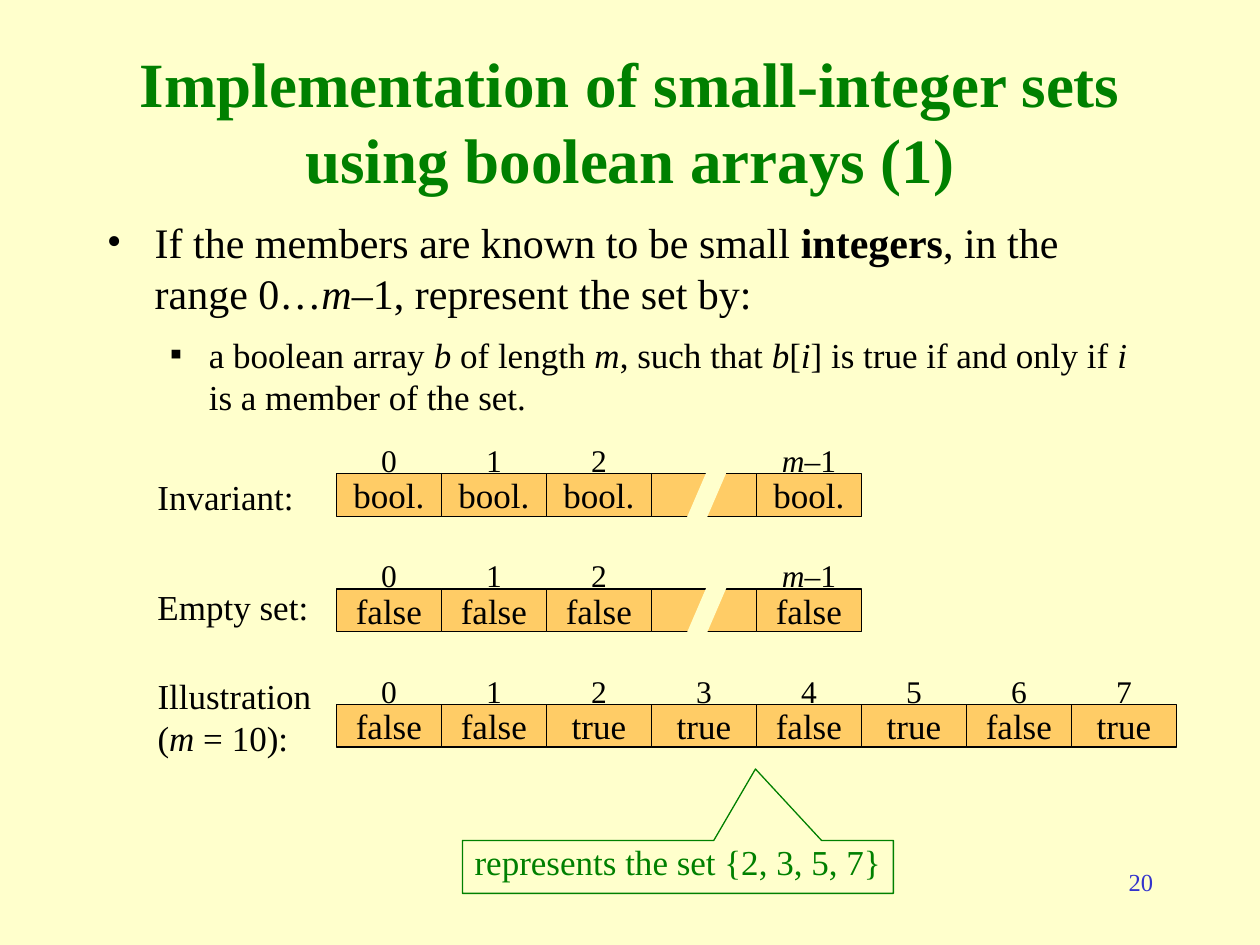
from lxml.etree import SubElement
from pptx import Presentation
from pptx.dml.color import RGBColor
from pptx.enum.shapes import MSO_SHAPE
from pptx.enum.text import MSO_ANCHOR, MSO_AUTO_SIZE, PP_ALIGN
from pptx.oxml.ns import qn
from pptx.util import Inches, Pt

FONT = "Times New Roman"
PAPER, BLACK, GREEN, BLUE, ORANGE = "FFFFCC", "000000", "008000", "3333CC", "FFCC66"
CELL_WIDTH, CELL_HEIGHT = 5 / 6, 0.34
ARRAY_LEFT, LABEL_LEFT = 2.67, 1.25
FIRST_ROW_TOP, ROW_STEP = 3.76, 0.915
LAST_INDEX = [("m", "i"), ("–1", "")]


def color(hex_text):
    """Turn a hex string into a colour."""
    return RGBColor.from_string(hex_text)


def inches(box):
    """Turn a box of left, top, width and height into lengths."""
    return [Inches(value) for value in box]


def set_frame(frame, margins=(0, 0, 0, 0), anchor=MSO_ANCHOR.TOP):
    """Set the margins, anchor and wrapping of a text frame."""
    left, top, right, bottom = inches(margins)
    values = {"margin_left": left, "margin_top": top, "margin_right": right,
              "margin_bottom": bottom, "vertical_anchor": anchor,
              "word_wrap": True, "auto_size": MSO_AUTO_SIZE.NONE}
    for name, value in values.items():
        setattr(frame, name, value)


def write(para, content, size, hex_text=BLACK, align=PP_ALIGN.LEFT):
    """Write a string, or (text, style) pairs with b and i styles, in a paragraph."""
    para.alignment = align
    pairs = [(content, "")] if isinstance(content, str) else content
    for text, style in pairs:
        if text == "\n":
            para.add_line_break()
            continue
        span = para.add_run()
        span.text = text
        span.font.color.rgb = color(hex_text)
        values = {"name": FONT, "size": Pt(size), "bold": "b" in style, "italic": "i" in style}
        for name, value in values.items():
            setattr(span.font, name, value)


def add_bullet(para, char, left, hanging):
    """Give a paragraph a black bullet and a hanging indent."""
    props = para._p.get_or_add_pPr()
    props.set("marL", str(Inches(left)))
    props.set("indent", str(-Inches(hanging)))
    SubElement(SubElement(props, qn("a:buClr")), qn("a:srgbClr"), val=BLACK)
    SubElement(props, qn("a:buFont"), typeface=FONT)
    SubElement(props, qn("a:buChar"), char=char)


def add_text(shapes, box, content, size, margins=(0, 0, 0, 0), **style):
    """Add a text box with one paragraph."""
    frame = shapes.add_textbox(*inches(box)).text_frame
    set_frame(frame, margins)
    write(frame.paragraphs[0], content, size, **style)


def add_title(page, box):
    """Place and write the slide title."""
    title = page.shapes.title
    title.left, title.top, title.width, title.height = inches(box)
    set_frame(title.text_frame, (0.1, 0.05, 0.1, 0.05), MSO_ANCHOR.MIDDLE)
    write(title.text_frame.paragraphs[0],
          [("Implementation of small-integer sets using boolean arrays (1)", "b")],
          36, GREEN, PP_ALIGN.CENTER)


def add_body(page, box):
    """Add the two bulleted statements."""
    frame = page.shapes.add_textbox(*inches(box)).text_frame
    set_frame(frame, (0.1, 0.05, 0.1, 0.05))
    main = frame.paragraphs[0]
    add_bullet(main, "•", 0.38, 0.38)
    write(main, [("If the members are known to be small ", ""), ("integers", "b"),
                 (", in the range 0…", ""), ("m", "i"), ("–1, represent the set by:", "")], 24)
    detail = frame.add_paragraph()
    detail.level = 1
    add_bullet(detail, "▪", 0.81, 0.31)
    detail.space_before = Pt(9)
    write(detail, [("a boolean array ", ""), ("b", "i"), (" of length ", ""), ("m", "i"),
                   (", such that ", ""), ("b", "i"), ("[", ""), ("i", "i"),
                   ("] is true if and only if ", ""), ("i", "i"),
                   (" is a member of the set.", "")], 20)


def add_cell(shapes, box, value):
    """Add one array cell with its value."""
    cell = shapes.add_shape(MSO_SHAPE.RECTANGLE, *inches(box))
    cell.shadow.inherit = False
    cell.fill.solid()
    cell.fill.fore_color.rgb = color(ORANGE)
    cell.line.color.rgb = color(BLACK)
    cell.line.width = Pt(0.75)
    set_frame(cell.text_frame)
    if value:
        write(cell.text_frame.paragraphs[0], value, 20, align=PP_ALIGN.CENTER)


def add_gap(shapes, left, top):
    """Cut a slanted gap through the cell at the given corner."""
    points = [(0.5, -0.16), (0.25, 0.42), (0.41, 0.42), (0.66, -0.16)]
    corners = [(Inches(left + x), Inches(top + y)) for x, y in points]
    builder = shapes.build_freeform(*corners[0])
    builder.add_line_segments(corners[1:], close=True)
    gap = builder.convert_to_shape()
    gap.shadow.inherit = False
    gap.fill.solid()
    gap.fill.fore_color.rgb = color(PAPER)
    gap.line.fill.background()


def add_array(page, top, label, label_box, indices, values):
    """Add a labelled array; a cell without a value is cut by a gap."""
    shapes = page.shapes.add_group_shape().shapes
    add_text(shapes, label_box, label, 20)
    for place, (index, value) in enumerate(zip(indices, values)):
        left = ARRAY_LEFT + place * CELL_WIDTH
        add_cell(shapes, (left, top, CELL_WIDTH, CELL_HEIGHT), value)
        if value:
            add_text(shapes, (left, top - 0.26, CELL_WIDTH, CELL_HEIGHT), index, 18,
                     align=PP_ALIGN.CENTER)
        else:
            add_gap(shapes, left, top)


def add_callout(page, box):
    """Add the callout that names the set shown."""
    callout = page.shapes.add_shape(MSO_SHAPE.RECTANGULAR_CALLOUT, *inches(box))
    callout.adjustments[0], callout.adjustments[1] = 0.18, -1.85
    callout.shadow.inherit = False
    callout.fill.background()
    callout.line.color.rgb = color(GREEN)
    callout.line.width = Pt(0.75)
    set_frame(callout.text_frame, (0.04, 0, 0.04, 0))
    write(callout.text_frame.paragraphs[0], "represents the set {2, 3, 5, 7}", 20,
          GREEN, PP_ALIGN.CENTER)


def main():
    """Build the slide and save it."""
    deck = Presentation()
    deck.slide_width, deck.slide_height = Inches(10), Inches(7.5)
    page = deck.slides.add_slide(deck.slide_layouts[5])
    page.background.fill.solid()
    page.background.fill.fore_color.rgb = color(PAPER)
    add_title(page, (0.75, 0.58, 8.5, 0.75))
    add_body(page, (0.75, 1.67, 8.5, 5.08))
    general = ["0", "1", "2", "", LAST_INDEX]
    bits = ["true" if number in {2, 3, 5, 7} else "false" for number in range(8)]
    arrays = [
        ("Invariant:", (3.77, 1.46, 0.33), general, ["bool."] * 3 + ["", "bool."]),
        ("Empty set:", (4.65, 1.46, 0.33), general, ["false"] * 3 + ["", "false"]),
        ([("Illustration", ""), ("\n", ""), ("(", ""), ("m", "i"), (" = 10):", "")],
         (5.35, 1.42, 0.67), [str(number) for number in range(8)], bits),
    ]
    for row, (label, label_place, indices, values) in enumerate(arrays):
        add_array(page, FIRST_ROW_TOP + row * ROW_STEP, label, (LABEL_LEFT, *label_place),
                  indices, values)
    add_callout(page, (3.67, 6.67, 3.42, 0.42))
    add_text(page.shapes, (7.17, 6.83, 2.08, 0.5), "20", 14, (0.1, 0.05, 0.1, 0.05),
             hex_text=BLUE, align=PP_ALIGN.RIGHT)
    deck.save("out.pptx")


if __name__ == "__main__":
    main()
